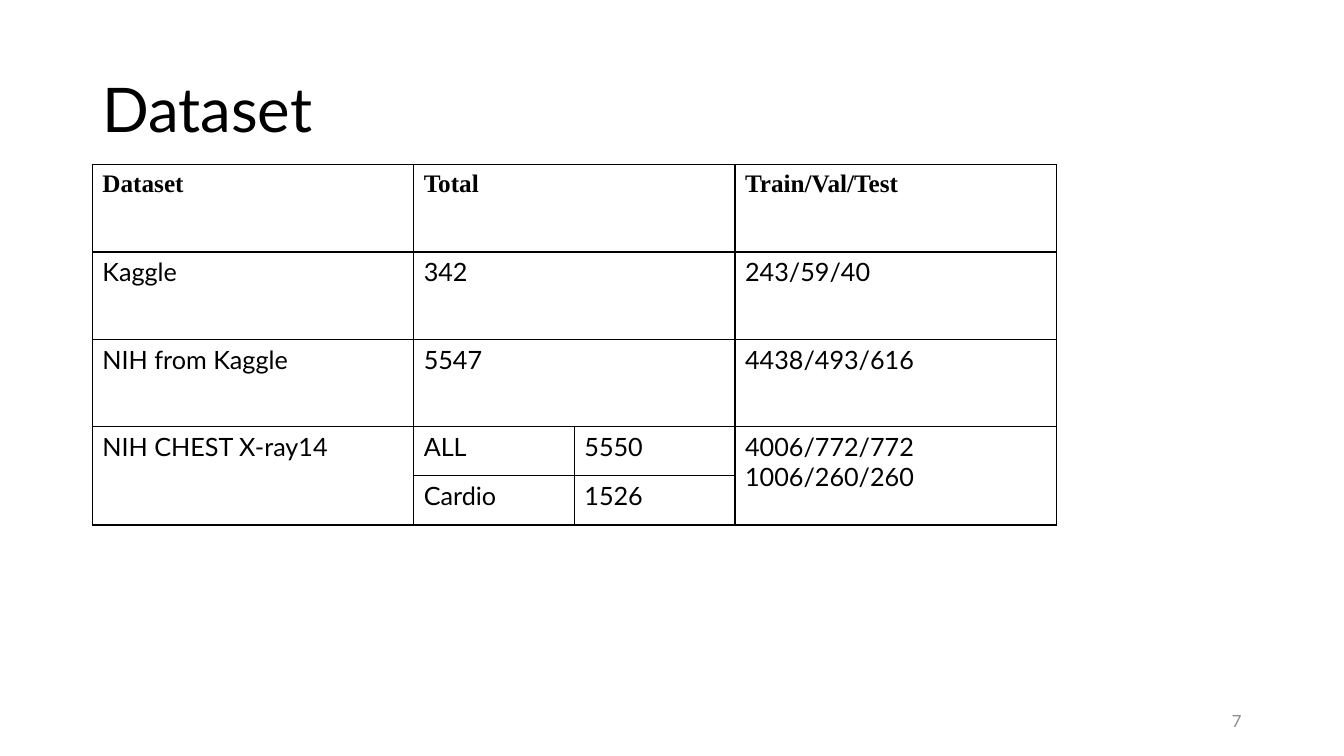
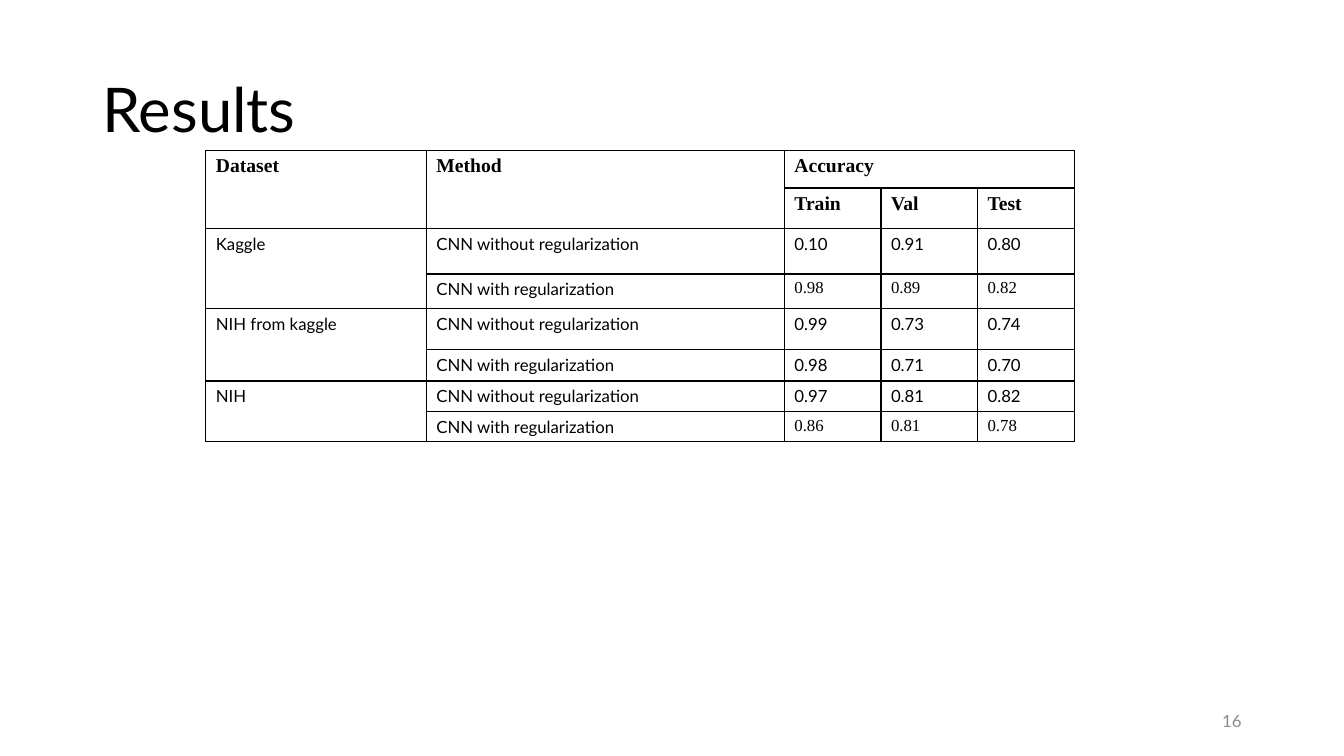
from dataclasses import dataclass
from itertools import takewhile

from lxml import etree
from pptx import Presentation
from pptx import util as u
from pptx.dml.color import RGBColor
from pptx.enum import text
from pptx.oxml import ns

PX = 9525  # EMU in one px, slide is 1280 x 720 px


@dataclass(frozen=True)
class Theme:
    ink: str = "000000"
    muted: str = "8C8C8C"
    sans: str = "Lato"
    serif: str = "Times New Roman"
    title_size: int = 44
    page_size: int = 12
    border_pt: int = 1


THEME = Theme()

DATASET_ROWS = [
    ["Dataset", "Total", None, "Train/Val/Test"],
    ["Kaggle", "342", None, "243/59/40"],
    ["NIH from Kaggle", "5547", None, "4438/493/616"],
    ["NIH CHEST X-ray14", "ALL", "5550", "4006/772/772\n1006/260/260"],
    [None, "Cardio", "1526", None],
]

PLAIN, REGULARIZED = "CNN without regularization", "CNN with regularization"
RESULT_ROWS = [
    ["Dataset", "Method", "Accuracy", None, None],
    [None, None, "Train", "Val", "Test"],
    ["Kaggle", PLAIN, "0.10", "0.91", "0.80"],
    [None, REGULARIZED, "0.98", "0.89", "0.82"],
    ["NIH from kaggle", PLAIN, "0.99", "0.73", "0.74"],
    [None, REGULARIZED, "0.98", "0.71", "0.70"],
    ["NIH", PLAIN, "0.97", "0.81", "0.82"],
    [None, REGULARIZED, "0.86", "0.81", "0.78"],
]
SERIF_RESULTS = {(row, col) for row in (3, 7) for col in (2, 3, 4)}


def px(*lengths):
    return [u.Emu(length * PX) for length in lengths]


def format_text(frame, size, font=THEME.sans, color=THEME.ink, bold=False):
    for paragraph in frame.paragraphs:
        for run in paragraph.runs:
            run.font.name = font
            run.font.size = u.Pt(size)
            run.font.bold = bold
            run.font.color.rgb = RGBColor.from_string(color)


def add_label(slide, box, words, size, color, align, line_spacing=1.0):
    frame = slide.shapes.add_textbox(*px(*box)).text_frame
    frame.word_wrap = True
    frame.vertical_anchor = text.MSO_ANCHOR.MIDDLE
    frame.text = words
    frame.paragraphs[0].alignment = align
    frame.paragraphs[0].line_spacing = line_spacing
    format_text(frame, size, color=color)


def add_titled_slide(deck, title, page):
    slide = deck.slides.add_slide(deck.slide_layouts[6])
    add_label(slide, (88, 38, 1104, 139), title, THEME.title_size,
              THEME.ink, text.PP_ALIGN.LEFT, 0.9)
    add_label(slide, (904, 667, 288, 38), str(page), THEME.page_size,
              THEME.muted, text.PP_ALIGN.RIGHT)
    return slide


def add_borders(cell):
    properties = cell._tc.get_or_add_tcPr()
    for side in ("a:lnL", "a:lnR", "a:lnT", "a:lnB"):
        line = etree.SubElement(properties, ns.qn(side),
                                w=str(u.Pt(THEME.border_pt)))
        fill = etree.SubElement(line, ns.qn("a:solidFill"))
        etree.SubElement(fill, ns.qn("a:srgbClr"), val=THEME.ink)


def merge_continuations(table, rows, r, c):
    """Merge a cell with the free None entries to its right and below."""
    def is_free(place):
        row, col = place
        return rows[row][col] is None and not table.cell(row, col).is_spanned

    right = [(r, col) for col in range(c + 1, len(rows[r]))]
    below = [(row, c) for row in range(r + 1, len(rows))]
    across = len(list(takewhile(is_free, right)))
    down = len(list(takewhile(is_free, below)))
    if across or down:
        table.cell(r, c).merge(table.cell(r + down, c + across))


def add_grid(slide, corner, widths, heights, rows, header_rows,
             header_size, body_size, serif_cells=()):
    """Draw a bordered table; None continues the cell to its left or above."""
    size = (sum(widths), sum(heights))
    table = slide.shapes.add_table(len(rows), len(widths),
                                   *px(*corner, *size)).table
    table.first_row = table.horz_banding = False
    for column, width in zip(table.columns, px(*widths)):
        column.width = width
    for row, height in zip(table.rows, px(*heights)):
        row.height = height

    for r, entries in enumerate(rows):
        for c, entry in enumerate(entries):
            cell = table.cell(r, c)
            add_borders(cell)
            cell.fill.background()
            header = r < header_rows
            points = header_size if header else body_size
            if entry is None:
                etree.SubElement(cell.text_frame.paragraphs[0]._p,
                                 ns.qn("a:endParaRPr"), sz=str(points * 100))
                continue
            cell.text_frame.text = entry
            serif = header or (r, c) in serif_cells
            format_text(cell.text_frame, points,
                        THEME.serif if serif else THEME.sans, bold=header)
            merge_continuations(table, rows, r, c)


def main():
    deck = Presentation()
    deck.slide_width, deck.slide_height = px(1280, 720)

    dataset = add_titled_slide(deck, "Dataset", 7)
    add_grid(dataset, (88, 157), [306, 153, 153, 306], [83] * 3 + [47] * 2,
             DATASET_ROWS, header_rows=1, header_size=18, body_size=18)

    results = add_titled_slide(deck, "Results", 16)
    add_grid(results, (196, 143), [210, 341] + [92] * 3,
             [36, 39, 43, 33, 39, 30, 29, 29], RESULT_ROWS, header_rows=2,
             header_size=14, body_size=12, serif_cells=SERIF_RESULTS)

    deck.save("out.pptx")


if __name__ == "__main__":
    main()
